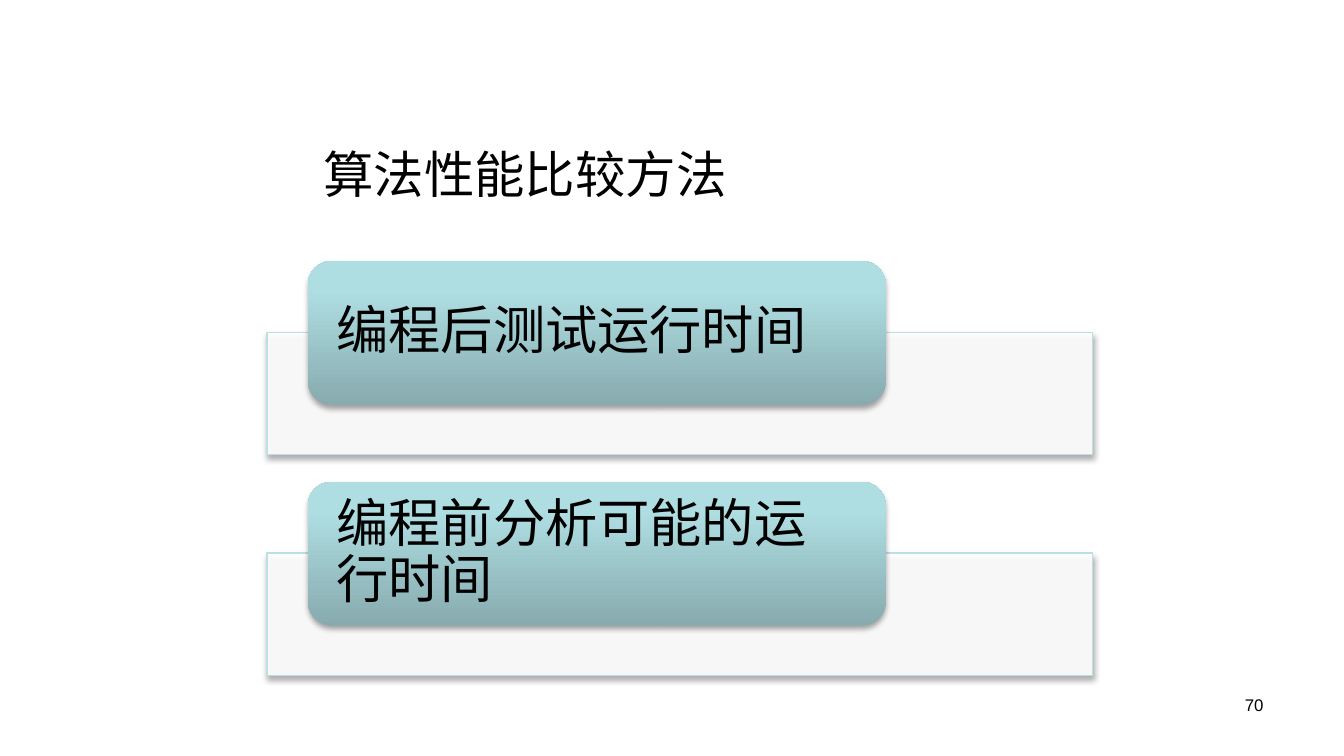
import copy

import pptx
import pptx.dml.color
import pptx.enum.shapes
import pptx.enum.text
import pptx.oxml
import pptx.oxml.ns
import pptx.util
from pptx.util import Cm

ALIGN = pptx.enum.text.PP_ALIGN
ANCHOR = pptx.enum.text.MSO_ANCHOR
SHAPE = pptx.enum.shapes.MSO_SHAPE
qn = pptx.oxml.ns.qn

CJK_FONT = "Noto Sans CJK SC"
METHODS = ["编程后测试运行时间", "编程前分析可能的运行时间"]
METHOD_PITCH = 4.17
PILL_STOPS = [(0, "87ABAE"), (0.8, "AFDEE2"), (1, "AFE0E4")]


def color(hex_string):
    return pptx.dml.color.RGBColor.from_string(hex_string)


def write(frame, text, size, font_name, align, anchor):
    frame.word_wrap = True
    frame.vertical_anchor = anchor
    paragraph = frame.paragraphs[0]
    paragraph.text = text
    paragraph.alignment = align
    font = paragraph.font
    font.size = pptx.util.Pt(size)
    font.color.rgb = color("000000")
    font.name = font_name
    # East Asian characters take their typeface from a:ea
    properties = paragraph._p.pPr.find(qn("a:defRPr"))
    properties.append(pptx.oxml.parse_xml(
        f'<a:ea {pptx.oxml.ns.nsdecls("a")} typeface="{font_name}"/>'))
    return paragraph


def add_label(slide, box, text, size, font_name, align, anchor):
    label = slide.shapes.add_textbox(*map(Cm, box))
    write(label.text_frame, text, size, font_name, align, anchor)


def add_shadow(shape):
    shape.shadow.inherit = False
    effects = shape._element.spPr.find(qn("a:effectLst"))
    effects.append(pptx.oxml.parse_xml(
        f'<a:outerShdw {pptx.oxml.ns.nsdecls("a")} blurRad="39370" dist="22860" '
        'dir="5400000" rotWithShape="0"><a:srgbClr val="000000">'
        '<a:alpha val="35000"/></a:srgbClr></a:outerShdw>'))


def add_bar(slide, top):
    bar = slide.shapes.add_shape(SHAPE.RECTANGLE, Cm(5.05), Cm(top), Cm(15.6), Cm(2.31))
    bar.fill.solid()
    bar.fill.fore_color.rgb = color("FFFFFF")
    fill_color = bar._element.spPr.find(qn("a:solidFill"))[0]
    fill_color.append(pptx.oxml.parse_xml(
        f'<a:alpha {pptx.oxml.ns.nsdecls("a")} val="90000"/>'))
    bar.line.color.rgb = color("BBE0E3")
    bar.line.width = pptx.util.Pt(0.75)
    add_shadow(bar)


def add_pill(slide, top, text):
    pill = slide.shapes.add_shape(
        SHAPE.ROUNDED_RECTANGLE, Cm(5.82), Cm(top), Cm(10.92), Cm(2.72))
    pill.fill.gradient()
    pill.fill.gradient_angle = 90
    # The default gradient has two stops; a third is needed
    stop_list = next(pill._element.spPr.iter(qn("a:gsLst")))
    stop_list.append(copy.deepcopy(stop_list[-1]))
    for stop, (position, hex_string) in zip(pill.fill.gradient_stops, PILL_STOPS):
        stop.position = position
        stop.color.rgb = color(hex_string)
    pill.line.fill.background()
    add_shadow(pill)

    frame = pill.text_frame
    frame.margin_left = frame.margin_right = Cm(0.41)
    frame.margin_top = frame.margin_bottom = 0
    paragraph = write(frame, text, 28, CJK_FONT, ALIGN.LEFT, ANCHOR.MIDDLE)
    paragraph.line_spacing = 0.9


def main():
    presentation = pptx.Presentation()
    presentation.slide_width = Cm(25.4)
    presentation.slide_height = Cm(14.28)
    slide = presentation.slides.add_slide(presentation.slide_layouts[6])

    # Title and page number
    add_label(slide, (5.64, 2.34, 8.56, 1.88), "算法性能比较方法",
              27, CJK_FONT, ALIGN.CENTER, ANCHOR.MIDDLE)
    add_label(slide, (18.21, 13, 5.92, 0.99), "70",
              9, "Arial", ALIGN.RIGHT, ANCHOR.TOP)

    # Comparison methods
    for index, method in enumerate(METHODS):
        pill_top = 4.93 + index * METHOD_PITCH
        add_bar(slide, pill_top + 1.35)
        add_pill(slide, pill_top, method)

    presentation.save("out.pptx")


if __name__ == "__main__":
    main()
